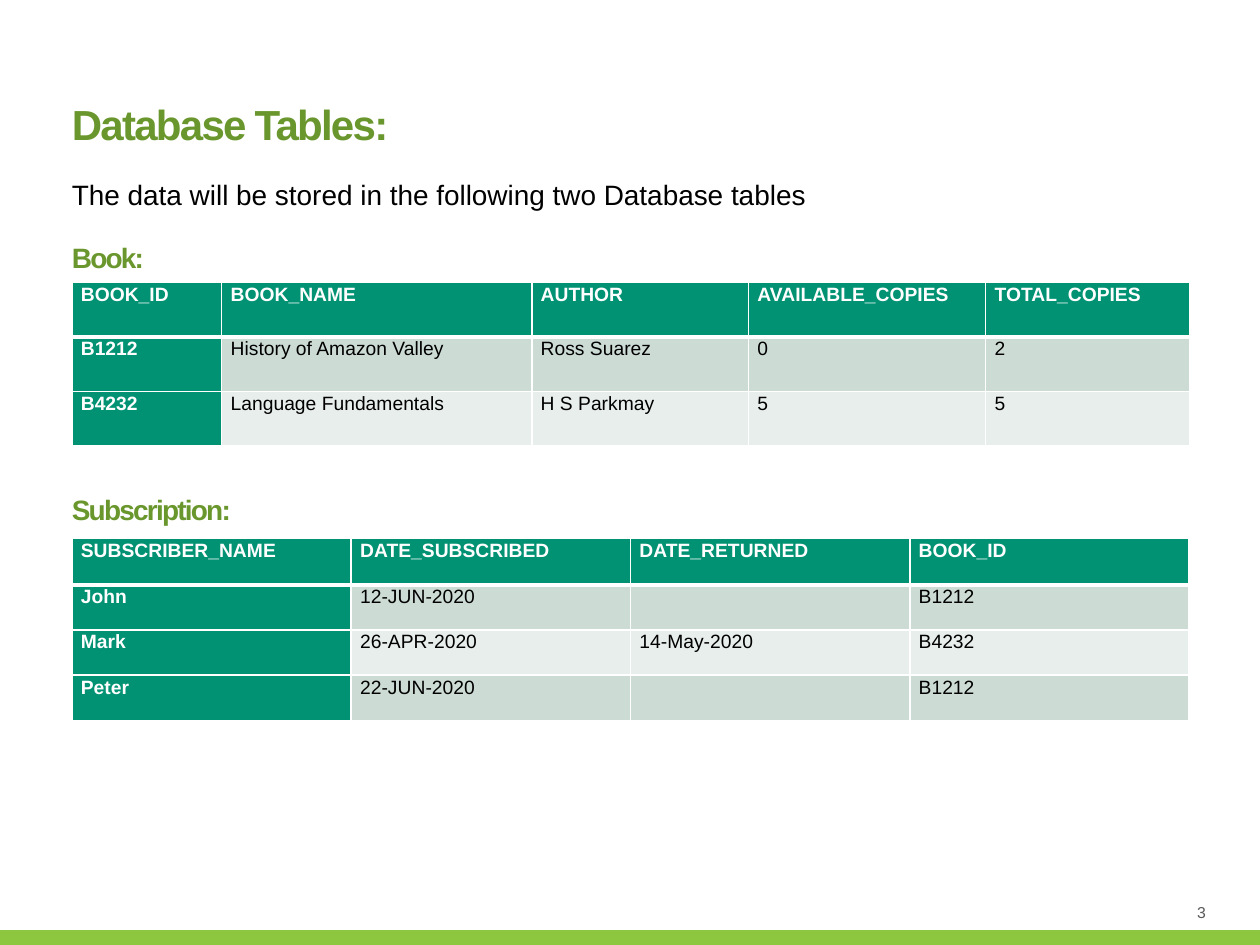
from lxml import etree
from pptx import Presentation
from pptx.dml.color import RGBColor
from pptx.enum.shapes import MSO_SHAPE
from pptx.enum.text import MSO_ANCHOR, PP_ALIGN
from pptx.oxml.ns import qn
from pptx.util import Cm, Pt

RECTANGLE = MSO_SHAPE.RECTANGLE
MIDDLE = MSO_ANCHOR.MIDDLE
RIGHT = PP_ALIGN.RIGHT

WHITE = RGBColor(0xFF, 0xFF, 0xFF)
BLACK = RGBColor(0, 0, 0)
GREY = RGBColor(0x59, 0x59, 0x59)
LIME = RGBColor(0x8D, 0xC6, 0x3F)
HEADING = RGBColor(0x6A, 0x97, 0x2D)
TEAL = RGBColor(0x00, 0x92, 0x73)
BANDS = (RGBColor(0xCC, 0xDC, 0xD5), RGBColor(0xE7, 0xEE, 0xEB))

FONT = "Arial"
LEFT = Cm(1.45)

BOOKS = [
    ["BOOK_ID", "BOOK_NAME", "AUTHOR", "AVAILABLE_COPIES", "TOTAL_COPIES"],
    ["B1212", "History of Amazon Valley", "Ross Suarez", "0", "2"],
    ["B4232", "Language Fundamentals", "H S Parkmay", "5", "5"],
]
SUBSCRIPTIONS = [
    ["SUBSCRIBER_NAME", "DATE_SUBSCRIBED", "DATE_RETURNED", "BOOK_ID"],
    ["John", "12-JUN-2020", "", "B1212"],
    ["Mark", "26-APR-2020", "14-May-2020", "B4232"],
    ["Peter", "22-JUN-2020", "", "B1212"],
]


def style(p, size, color, bold=False):
    """Set the font of a whole paragraph."""
    p.font.name = FONT
    p.font.size = Pt(size)
    p.font.bold = bold
    p.font.color.rgb = color


def add_text_frame(s, left, top, width, height):
    """Add a wrapping text box without margins and return its frame."""
    tf = s.shapes.add_textbox(left, top, width, height).text_frame
    tf.word_wrap = True
    tf.margin_left = tf.margin_top = tf.margin_right = tf.margin_bottom = 0
    return tf


def add_body(s):
    """Add the title, the introduction and the table headings."""
    tf = add_text_frame(s, LEFT, Cm(1.98), Cm(23.2), Cm(15.54))
    lines = [
        ("Database Tables:", 24, True, 1, 12),
        ("The data will be stored in the following two Database tables", 16, False, 1.25, 12),
        ("Book:", 16, True, 1.25, 12),
        ("Subscription:", 16, True, 1.25, 120),
    ]
    for i, (text, size, heading, spacing, before) in enumerate(lines):
        p = tf.add_paragraph() if i else tf.paragraphs[0]
        r = p.add_run()
        r.text = text
        style(p, size, HEADING if heading else BLACK, heading)
        p.line_spacing = spacing
        p.space_before = Pt(before)
        if heading:
            r._r.get_or_add_rPr().set("spc", "-100")


def set_border(cell, side, width):
    """Draw one white border of a cell."""
    tcPr = cell._tc.get_or_add_tcPr()
    ln = etree.SubElement(tcPr, qn(f"a:ln{side}"), w=str(Pt(width)))
    fill = etree.SubElement(ln, qn("a:solidFill"))
    etree.SubElement(fill, qn("a:srgbClr"), val=str(WHITE))


def fill_cell(cell, text, row, col):
    """Write and format one cell by its place in the table."""
    header = row == 0 or col == 0
    cell.margin_left = cell.margin_right = Cm(0.18)
    cell.margin_top = cell.margin_bottom = 0
    p = cell.text_frame.paragraphs[0]
    p.text = text
    p.line_spacing = 1.07
    style(p, 11, WHITE if header else BLACK, header)
    widths = {"L": 1, "R": 1, "T": 3 if row == 1 else 1, "B": 3 if row == 0 else 1}
    for side, width in widths.items():
        set_border(cell, side, width)
    cell.fill.solid()
    cell.fill.fore_color.rgb = TEAL if header else BANDS[(row - 1) % 2]


def add_data_table(s, top, widths, heights, data):
    """Add a table with a header row and a header column."""
    frame = s.shapes.add_table(len(heights), len(widths), LEFT, Cm(top),
                               Cm(sum(widths)), Cm(sum(heights)))
    table = frame.table
    table.first_col = True
    for column, width in zip(table.columns, widths):
        column.width = Cm(width)
    for row, height in zip(table.rows, heights):
        row.height = Cm(height)
    for i, values in enumerate(data):
        for j, text in enumerate(values):
            fill_cell(table.cell(i, j), text, i, j)


def add_footer(s, prs):
    """Add the bottom bar and the page number."""
    height = Cm(0.3)
    bar = s.shapes.add_shape(RECTANGLE, 0, prs.slide_height - height, prs.slide_width, height)
    bar.shadow.inherit = False
    bar.fill.solid()
    bar.fill.fore_color.rgb = LIME
    bar.line.fill.background()
    tf = add_text_frame(s, Cm(23.01), Cm(18.14), Cm(1.3), Cm(0.5))
    tf.vertical_anchor = MIDDLE
    p = tf.paragraphs[0]
    p.text = "3"
    p.alignment = RIGHT
    style(p, 9, GREY)


def main():
    """Build the slide and save it."""
    prs = Presentation()
    prs.slide_width, prs.slide_height = Cm(25.4), Cm(19.05)
    s = prs.slides.add_slide(prs.slide_layouts[6])
    add_footer(s, prs)
    add_body(s)
    add_data_table(s, 5.69, [3.02, 6.25, 4.37, 4.78, 4.11], [1.1] * 3, BOOKS)
    add_data_table(s, 10.85, [5.63] * 4, [0.94] + [0.91] * 3, SUBSCRIPTIONS)
    prs.save("out.pptx")


if __name__ == "__main__":
    main()
